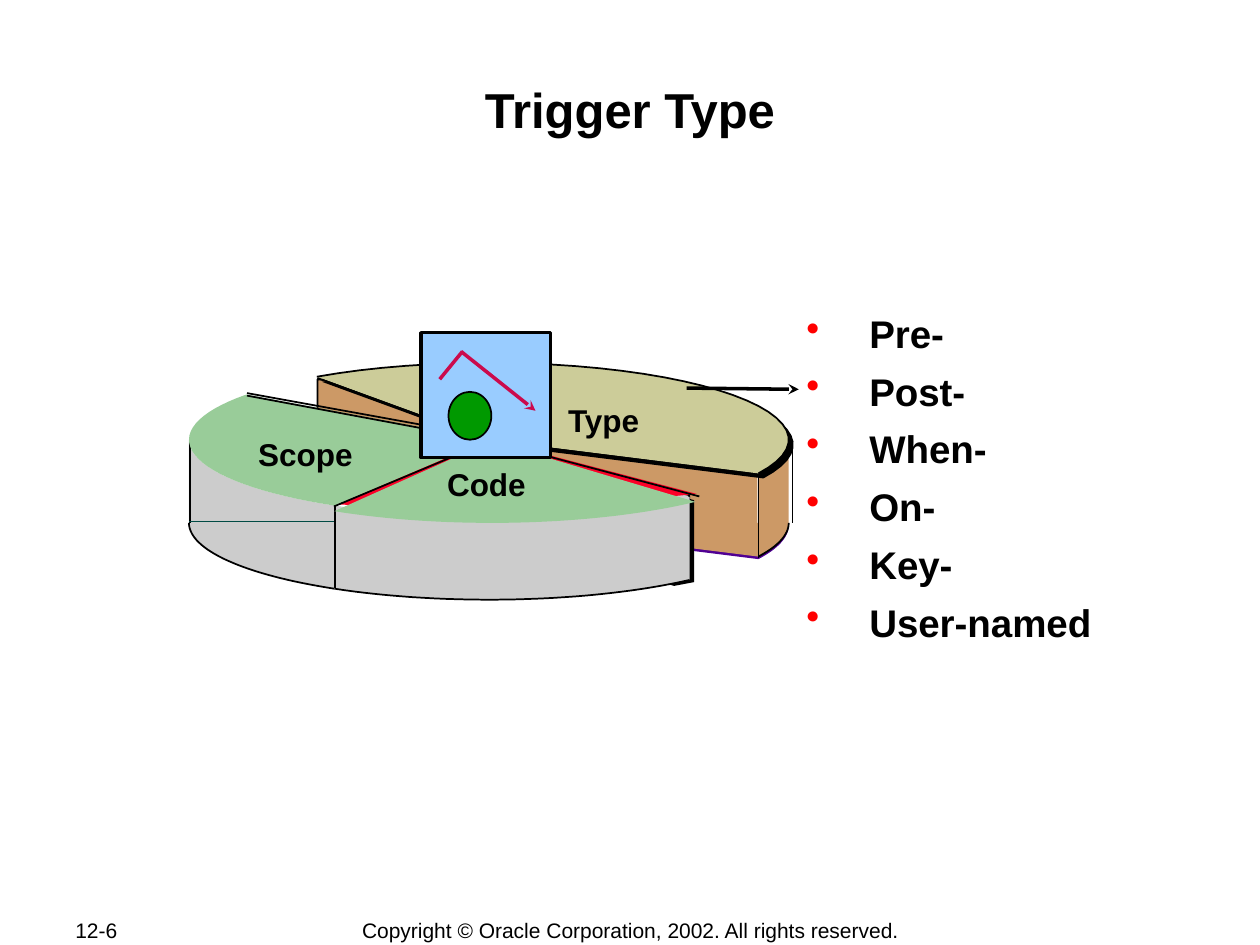
import math

from lxml import etree
from pptx import Presentation
from pptx import util as u
from pptx.dml.color import RGBColor
from pptx.enum import shapes, text
from pptx.oxml.ns import qn

BLACK, GRAY, TAN, OLIVE = "000000", "CCCCCC", "CC9966", "CCCC99"
GREEN, RED, CRIMSON, PURPLE = "99CC99", "FC0128", "CB0A4C", "500093"
CENTER_X, TOP_Y, BASE_Y = 3.88, 3.49, 4.15
RADII = (2.38, 0.61)
SHADOW = 0.04


def color(value):
    return RGBColor.from_string(value)


def arc(start, end, x=CENTER_X, y=TOP_Y, radii=RADII, steps=32):
    angles = [math.radians(start + (end - start) * i / steps) for i in range(steps + 1)]
    return [(x + radii[0] * math.cos(a), y + radii[1] * math.sin(a)) for a in angles]


class Canvas:
    font_name = "Arial"

    def __init__(self, slide):
        self.slide = slide
        self.shapes = slide.shapes

    def paint(self, shape, fill, line, width=1):
        shape.shadow.inherit = False
        if fill:
            shape.fill.solid()
            shape.fill.fore_color.rgb = color(fill)
        else:
            shape.fill.background()
        if line:
            shape.line.color.rgb = color(line)
            shape.line.width = u.Pt(width)
        else:
            shape.line.fill.background()

    def outline(self, points, fill=None, line=None, close=True):
        corners = [(u.Inches(x), u.Inches(y)) for x, y in points]
        builder = self.shapes.build_freeform(*corners[0])
        builder.add_line_segments(corners[1:], close=close)
        self.paint(builder.convert_to_shape(), fill, line)

    def edge(self, points):
        self.outline(points, line=BLACK, close=False)

    def wedge(self, start, end, fill, x=CENTER_X, y=TOP_Y, radii=RADII):
        self.outline(arc(start, end, x, y, radii) + [(x, y)], fill)

    def wall(self, start, end, fill):
        self.outline(arc(start, end) + arc(end, start, y=BASE_Y), fill)
        self.edge(arc(start, end, y=BASE_Y))

    def shape(self, kind, left, top, width, height, fill, line_width):
        item = self.shapes.add_shape(kind, *map(u.Inches, (left, top, width, height)))
        self.paint(item, fill, BLACK, line_width)

    def line(self, start, end, stroke=BLACK, width=1, arrow=False):
        link = self.shapes.add_connector(
            shapes.MSO_CONNECTOR.STRAIGHT, *map(u.Inches, start + end))
        link.line.color.rgb = color(stroke)
        link.line.width = u.Pt(width)
        if arrow:
            etree.SubElement(link.line._get_or_add_ln(), qn("a:tailEnd"), type="stealth")
        etree.SubElement(link._element.spPr, qn("a:effectLst"))

    def text(self, place, words, size, bold=True, align=text.PP_ALIGN.LEFT,
             anchor=text.MSO_ANCHOR.TOP, wrap=False, inset=(0.1, 0.05)):
        box = self.shapes.add_textbox(*map(u.Inches, place))
        frame = box.text_frame
        frame.word_wrap = wrap
        frame.vertical_anchor = anchor
        frame.margin_left = frame.margin_right = u.Inches(inset[0])
        frame.margin_top = frame.margin_bottom = u.Inches(inset[1])
        frame.text = words
        for para in frame.paragraphs:
            para.alignment = align
            for span in para.runs:
                span.font.name = self.font_name
                span.font.size = u.Pt(size)
                span.font.bold = bold
                span.font.color.rgb = color(BLACK)
        return frame

    def bullets(self, place, items, size, gap):
        frame = self.text(place, "\n".join(items), size, wrap=True, inset=(0.01, 0.01))
        for index, para in enumerate(frame.paragraphs):
            properties = para._p.get_or_add_pPr()
            properties.set("marL", str(u.Inches(0.63)))
            properties.set("indent", str(u.Inches(-0.5)))
            tint = etree.SubElement(properties, qn("a:buClr"))
            etree.SubElement(tint, qn("a:srgbClr"), val="FF0000")
            etree.SubElement(properties, qn("a:buChar"), char="•")
            if index:
                para.space_before = u.Pt(gap)


def draw_type_walls(canvas):
    canvas.outline([(2.52, 3.01), (4.63, 3.28), (4.63, 3.93), (2.52, 3.67)], TAN, BLACK)
    canvas.wedge(0, 26, PURPLE, y=BASE_Y + 0.02)
    canvas.wedge(0, 26, TAN, y=BASE_Y)
    canvas.outline([(3.89, 3.49), (6.01, 3.76), (6.01, 4.41), (3.89, 4.15)], TAN)
    canvas.wall(0, 26, TAN)
    canvas.line((6.29, 3.49), (6.29, 4.15))
    canvas.line((6.02, 3.77), (6.02, 4.43))


def draw_front_walls(canvas):
    canvas.wall(121, 180, GRAY)
    canvas.line((1.51, 3.49), (1.51, 4.15))
    canvas.line((1.5, 4.14), (2.65, 4.14), "004B44")
    side = [(3.82, 3.49), (5.47, 3.93), (5.47, 4.58), (5.31, 4.61), (3.82, 4.18)]
    canvas.outline([(x + SHADOW, y + SHADOW) for x, y in side], BLACK)
    canvas.outline(side, GRAY, BLACK)
    canvas.wall(48, 121, GRAY)
    canvas.line((2.66, 4.01), (2.66, 4.67))


def draw_tops(canvas):
    canvas.wedge(-125, 26, BLACK, CENTER_X + SHADOW, TOP_Y + SHADOW)
    canvas.wedge(-125, 26, OLIVE)
    canvas.edge(arc(-125, 26))
    canvas.line((3.89, 3.5), (6.02, 3.77))
    canvas.outline([(3.89, 3.49), (5.53, 3.92), (3.85, 4.08)], RED)
    canvas.outline([(3.87, 3.49), (3.87, 4.08), (2.65, 4)], RED)
    canvas.wedge(48, 121, GREEN, 3.9, 3.5, (2.42, 0.65))
    canvas.wedge(121, 216, GREEN)
    for end in [(5.55, 3.94), (2.65, 4.02), (1.96, 3.14), (2.52, 3)]:
        canvas.line((3.89, 3.5), end)
    canvas.line((3.89, 3.47), (1.96, 3.12))


def draw_icon(canvas):
    canvas.shapes = canvas.slide.shapes.add_group_shape().shapes
    canvas.shape(shapes.MSO_SHAPE.RECTANGLE, 3.34, 2.64, 1.03, 0.99, "99CCFF", 2)
    canvas.shape(shapes.MSO_SHAPE.OVAL, 3.56, 3.11, 0.34, 0.38, "009900", 1)
    canvas.line((3.67, 2.79), (3.49, 3.01), CRIMSON, 2)
    canvas.line((3.66, 2.79), (4.25, 3.26), CRIMSON, 2, arrow=True)
    canvas.shapes = canvas.slide.shapes


def main():
    deck = Presentation()
    deck.slide_width, deck.slide_height = u.Inches(10), u.Inches(7.5)
    canvas = Canvas(deck.slides.add_slide(deck.slide_layouts[6]))
    center, middle = text.PP_ALIGN.CENTER, text.MSO_ANCHOR.MIDDLE

    canvas.text((0.5, 7.28, 1.06, 0.2), "12-6", 12, bold=False, anchor=middle, wrap=True)
    canvas.text((2.76, 7.28, 4.49, 0.21),
                "Copyright © Oracle Corporation, 2002. All rights reserved.",
                12, bold=False, align=center, anchor=middle)
    canvas.text((1, 0.62, 8, 0.92), "Trigger Type", 28, align=center, wrap=True,
                inset=(0.01, 0.01))
    canvas.bullets((6.26, 2.45, 2.57, 2.61),
                   ["Pre-", "Post-", "When-", "On-", "Key-", "User-named"], 22, 6.6)

    draw_type_walls(canvas)
    draw_front_walls(canvas)
    draw_tops(canvas)
    canvas.text((4.41, 3.13, 0.79, 0.4), "Type", 18)
    canvas.text((1.95, 3.4, 0.95, 0.4), "Scope", 18)
    draw_icon(canvas)
    canvas.text((3.45, 3.64, 1.17, 0.4), "Code", 18, wrap=True)
    canvas.line((5.45, 3.08), (6.34, 3.09), width=2, arrow=True)
    deck.save("out.pptx")


if __name__ == "__main__":
    main()
